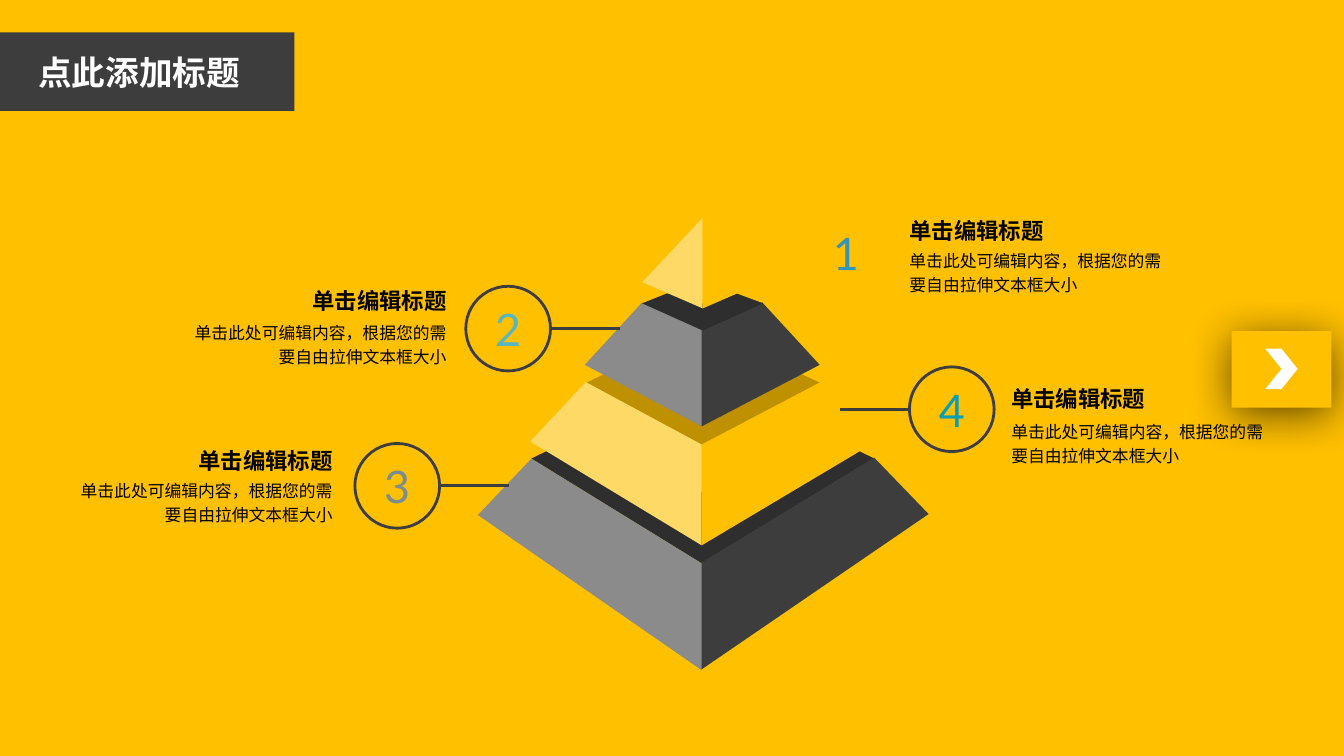
import pptx
import pptx.util
import pptx.dml.color
import pptx.enum.shapes
import pptx.enum.text
import pptx.oxml
import pptx.oxml.ns
import lxml.etree

KIND = pptx.enum.shapes.MSO_SHAPE
ALIGN = pptx.enum.text.PP_ALIGN
MIDDLE = pptx.enum.text.MSO_ANCHOR.MIDDLE
FIT = pptx.enum.text.MSO_AUTO_SIZE.SHAPE_TO_FIT_TEXT
COLS, ROWS = 133.3, 75
GOLD, DARK, DEEP, GREY, PALE, SHADE = "FFC000", "3D3D3D", "2E2E2E", "8B8B8B", "FFD966", "BF9000"
HEAD = "单击编辑标题"
BODY = "单击此处可编辑内容，根据您的需要自由拉伸文本框大小"


def tint(code):
    return pptx.dml.color.RGBColor.from_string(code)


def write(frame, text, size=12, font="Arial", color="000000", bold=False,
          align=ALIGN.LEFT, space=None, anchor=None, inset=None, fit=False):
    frame.word_wrap = True
    if fit:
        frame.auto_size = FIT
    if anchor is not None:
        frame.vertical_anchor = anchor
    if inset is not None:
        frame.margin_left = frame.margin_right = inset
        frame.margin_top = frame.margin_bottom = inset
    para = frame.paragraphs[0]
    para.alignment = align
    if space:
        para.line_spacing = space
        para.space_before = pptx.util.Pt(size * 0.2)
    run = para.add_run()
    run.text = text
    run.font.size = pptx.util.Pt(size)
    run.font.name = font
    run.font.bold = bold
    run.font.color.rgb = tint(color)
    props = run.font.fill and run.element if hasattr(run, "element") else None
    if props is None:
        props = para.runs[0]._r
    east = lxml.etree.SubElement(props.get_or_add_rPr(), pptx.oxml.ns.qn("a:ea"))
    east.set("typeface", "Noto Sans CJK SC")


class Deck:
    def __init__(self):
        self.file = pptx.Presentation()
        self.file.slide_width = pptx.util.Inches(13.33)
        self.file.slide_height = pptx.util.Inches(7.5)
        self.slide = self.file.slides.add_slide(self.file.slide_layouts[5])
        self.slide.background.fill.solid()
        self.slide.background.fill.fore_color.rgb = tint(GOLD)
        self.shapes = self.slide.shapes

    def col(self, count):
        return round(self.file.slide_width * count / COLS)

    def row(self, count):
        return round(self.file.slide_height * count / ROWS)

    def box(self, x, y, w, h):
        return self.col(x), self.row(y), self.col(w), self.row(h)

    def paint(self, shape, fill=None, line=None):
        shape.shadow.inherit = False
        if fill:
            shape.fill.solid()
            shape.fill.fore_color.rgb = tint(fill)
        else:
            shape.fill.background()
        if line:
            shape.line.color.rgb = tint(line)
            shape.line.width = pptx.util.Pt(2)
        else:
            shape.line.fill.background()
        return shape

    def shape(self, kind, place, fill=None, line=None):
        return self.paint(self.shapes.add_shape(kind, *self.box(*place)), fill, line)

    def face(self, fill, *points):
        spots = [(self.col(x), self.row(y)) for x, y in points]
        pen = self.shapes.build_freeform(*spots[0], scale=1.0)
        pen.add_line_segments(spots[1:], close=True)
        self.paint(pen.convert_to_shape(), fill)

    def link(self, start, end, y, color):
        wire = self.shapes.add_connector(
            pptx.enum.shapes.MSO_CONNECTOR.STRAIGHT,
            self.col(start), self.row(y), self.col(end), self.row(y))
        wire.line.color.rgb = tint(color)
        wire.line.width = pptx.util.Pt(2)
        lxml.etree.SubElement(wire.element.spPr, pptx.oxml.ns.qn("a:effectLst"))

    def badge(self, mark, x, y, ring, color, side):
        size, reach = 8.4, 6.9
        disc = self.shape(KIND.OVAL, (x, y, size, size), line=ring)
        write(disc.text_frame, mark, size=32, font="Lato", color=color,
              align=ALIGN.CENTER, anchor=MIDDLE)
        edge = x + size if side > 0 else x
        self.link(edge + side * reach, edge, y + size / 2, ring)

    def text(self, text, place, **style):
        area = self.shapes.add_textbox(*self.box(*place))
        write(area.text_frame, text, fit=True, **style)

    def note(self, edge, top, low, align):
        for words, y, w, h, size in ((HEAD, top, 14.2, 3.2, 16), (BODY, low, 25.5, 4.8, 12)):
            x = edge - w if align == ALIGN.RIGHT else edge
            self.text(words, (x, y, w, h), size=size, bold=size == 16,
                      align=align, space=1.2, inset=0)

    def title(self, text, place):
        head = self.shapes.title
        head.left, head.top, head.width, head.height = self.box(*place)
        write(head.text_frame, text, size=24, font="Noto Sans CJK SC", color="FFFFFF",
              bold=True, align=ALIGN.CENTER, anchor=MIDDLE, fit=True)
        head.element.getparent().append(head.element)

    def tab(self):
        card = self.shape(KIND.RECTANGLE, (123.3, 31.7, 7.6, 9.9), GOLD)
        card.rotation = 90
        glow = pptx.oxml.parse_xml(
            '<a:outerShdw %s blurRad="406400" dist="63500" dir="5400000" algn="ctr" '
            'rotWithShape="0"><a:srgbClr val="000000"><a:alpha val="62000"/></a:srgbClr>'
            '</a:outerShdw>' % pptx.oxml.ns.nsdecls("a"))
        card.element.spPr.find(pptx.oxml.ns.qn("a:effectLst")).append(glow)
        arrow = self.shape(KIND.CHEVRON, (125.5, 34.6, 3.2, 4), "FFFFFF")
        self.shapes.add_group_shape([card, arrow])


def main():
    deck = Deck()
    mid = 69.6
    faces = (
        (DEEP, (52.7, 45.5), (58.7, 42.6), (mid, 48.8), (81.5, 42.9), (86.7, 45.5), (mid, 55.9)),
        (GREY, (47.4, 51.1), (52.7, 45.5), (mid, 55.9), (mid, 66.5)),
        (DARK, (mid, 55.8), (86.7, 45.4), (92.1, 51), (mid, 66.4)),
        (SHADE, (58.1, 38), (60.4, 36.9), (mid, 40.9), (78.6, 36.7), (81.4, 38), (mid, 44.2)),
        (PALE, (52.6, 43.8), (mid, 54.1), (mid, 44.1), (58.1, 37.9)),
        (GOLD, (mid, 54.1), (mid, 44.1), (81.4, 37.9), (86.9, 43.8)),
        (GREY, (58, 36.2), (mid, 42.3), (69.7, 32.7), (63.7, 30)),
        (DARK, (mid, 32.7), (75.6, 30), (81.3, 36.2), (mid, 42.3)),
        (DEEP, (63.7, 30.1), (66.2, 29.1), (69.7, 30.1), (73, 29.1), (75.7, 30.1), (69.7, 32.8)),
        (PALE, (63.7, 28), (69.7, 21.6), (69.7, 30.6)),
        (GOLD, (69.7, 21.6), (75.7, 28), (69.7, 30.6)),
    )
    for fill, *points in faces:
        deck.face(fill, *points)

    for mark, x, y, ring, color, side in (
            ("1", 79.7, 20.9, GOLD, "3494BA", -1),
            ("2", 46.2, 28.4, DARK, "58B6C0", 1),
            ("4", 90.2, 36.4, DARK, "079FB6", -1),
            ("3", 35.2, 44, DARK, "7A8C8E", 1)):
        deck.badge(mark, x, y, ring, color, side)

    for edge, top, low, align in (
            (100.3, 37.7, 41.4, ALIGN.LEFT),
            (90.2, 21, 24.5, ALIGN.LEFT),
            (44.3, 28, 31.6, ALIGN.RIGHT),
            (33, 43.8, 47.3, ALIGN.RIGHT)):
        deck.note(edge, top, low, align)

    deck.shape(KIND.RECTANGLE, (0, 3.2, 29.2, 7.8), DARK)
    deck.shape(KIND.RECTANGLE, (31.5, 3.2, 1.9, 7.8), GOLD)
    deck.title("点此添加标题", (0, 4.6, 27.6, 5))
    deck.tab()
    deck.file.save("out.pptx")


if __name__ == "__main__":
    main()
